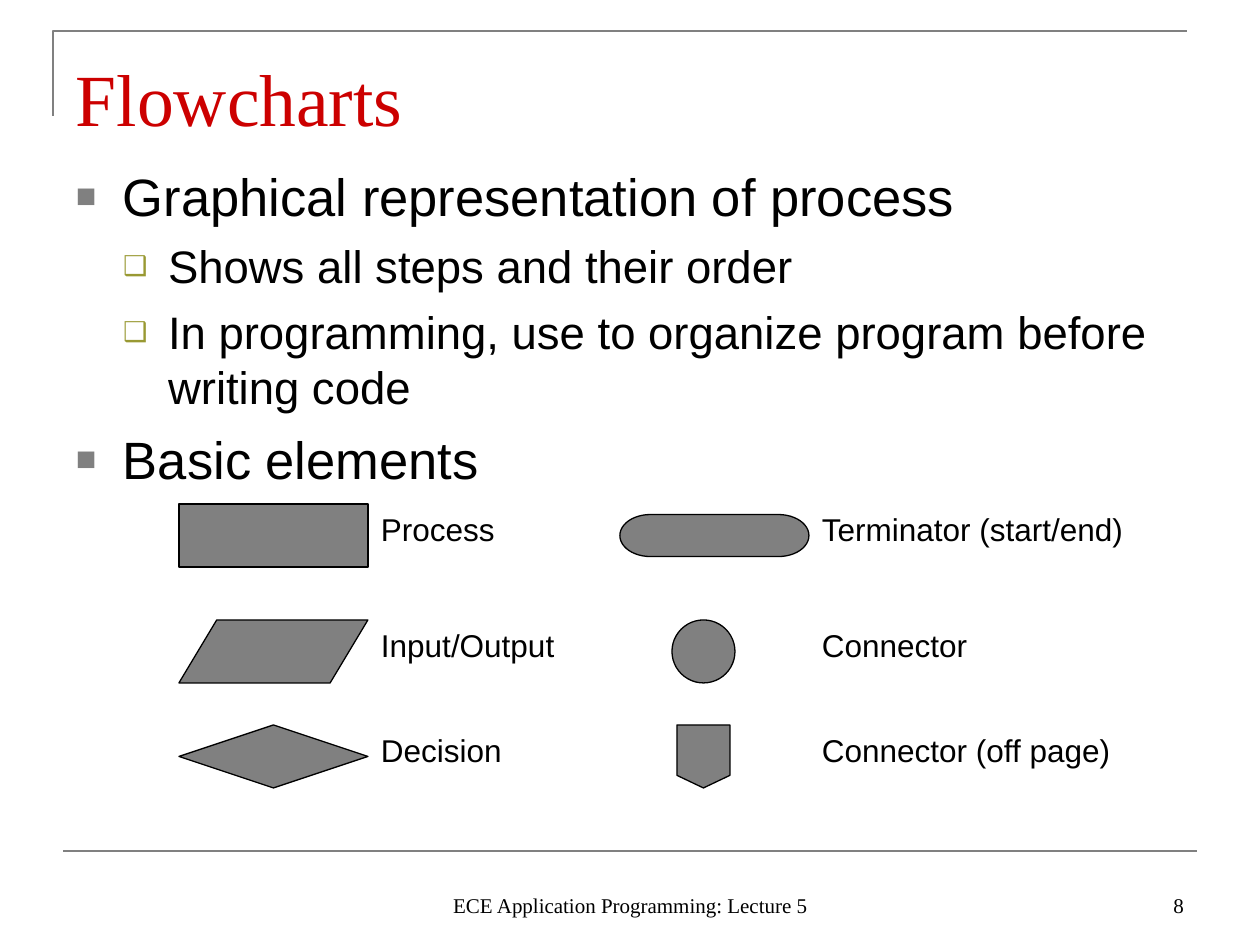
import pptx
import pptx.util
from lxml import etree
from pptx.dml.color import RGBColor
from pptx.enum.shapes import MSO_CONNECTOR, MSO_SHAPE
from pptx.enum.text import MSO_ANCHOR, MSO_AUTO_SIZE, PP_ALIGN
from pptx.oxml.ns import qn

EMU_PER_PX = 914400 / 126
COLORS = {"gray": "808080", "red": "CC0000", "black": "000000", "olive": "999933"}
SERIF, SANS = "Times New Roman", "Arial"

TITLE = "Flowcharts"
BULLETS = [
    (0, "Graphical representation of process"),
    (1, "Shows all steps and their order"),
    (1, "In programming, use to organize program before writing code"),
    (0, "Basic elements"),
]
LEVELS = [
    dict(size=30, before=7.5, margin=47, hanging=47, char="■", color="gray", percent=65),
    dict(size=26, before=6.5, margin=92, hanging=45, char="❑", color="olive", percent=60),
]
# Each column: left edge, then (preset, left offset, width, height, label, label width)
ELEMENTS = [
    (179, [
        (MSO_SHAPE.FLOWCHART_PROCESS, 0, 189, 63, "Process", 199),
        (MSO_SHAPE.FLOWCHART_DATA, 0, 189, 63, "Input/Output", 284),
        (MSO_SHAPE.FLOWCHART_DECISION, 0, 189, 63, "Decision", 284),
    ]),
    (620, [
        (MSO_SHAPE.FLOWCHART_TERMINATOR, 0, 189, 42, "Terminator (start/end)", 357),
        (MSO_SHAPE.FLOWCHART_CONNECTOR, 52, 63, 63, "Connector", 357),
        (MSO_SHAPE.FLOWCHART_OFFPAGE_CONNECTOR, 57, 53, 63, "Connector (off page)", 388),
    ]),
]
ROW_TOPS = [504, 620, 725]
CELL_WIDTH, CELL_HEIGHT = 189, 63
FOOTERS = [
    ("ECE Application Programming: Lecture 5", (431, 861, 399, 63), PP_ALIGN.CENTER),
    ("8", (903, 861, 294, 63), PP_ALIGN.RIGHT),
]


def px(value):
    return pptx.util.Emu(round(value * EMU_PER_PX))


def rgb(name):
    return RGBColor.from_string(COLORS[name])


def place(shape, box):
    for name, value in zip(("left", "top", "width", "height"), box):
        setattr(shape, name, px(value))


def format_frame(frame, anchor=MSO_ANCHOR.TOP, top=6):
    values = dict(word_wrap=True, auto_size=MSO_AUTO_SIZE.NONE, vertical_anchor=anchor,
                  margin_left=px(13), margin_right=px(13),
                  margin_top=px(top), margin_bottom=px(6))
    for name, value in values.items():
        setattr(frame, name, value)


def write(paragraph, text, size, font=SANS, color="black", align=PP_ALIGN.LEFT):
    paragraph.text = text
    paragraph.alignment = align
    for name, value in dict(name=font, size=pptx.util.Pt(size), bold=False).items():
        setattr(paragraph.font, name, value)
    paragraph.font.color.rgb = rgb(color)


def add_label(slide, text, box, size, font=SANS, align=PP_ALIGN.LEFT,
              anchor=MSO_ANCHOR.TOP):
    frame = slide.shapes.add_textbox(*map(px, box)).text_frame
    format_frame(frame, anchor)
    write(frame.paragraphs[0], text, size, font, align=align)


def set_bullet(paragraph, level):
    properties = paragraph._p.get_or_add_pPr()
    properties.set("marL", str(px(level["margin"])))
    properties.set("indent", str(-px(level["hanging"])))
    color = etree.SubElement(properties, qn("a:buClr"))
    etree.SubElement(color, qn("a:srgbClr"), val=COLORS[level["color"]])
    etree.SubElement(properties, qn("a:buSzPct"), val=str(level["percent"] * 1000))
    etree.SubElement(properties, qn("a:buFont"), typeface=SANS)
    etree.SubElement(properties, qn("a:buChar"), char=level["char"])


def style_line(shape, color, width):
    shape.line.color.rgb = rgb(color)
    shape.line.width = pptx.util.Pt(width)


def add_frame_lines(slide):
    builder = slide.shapes.build_freeform(px(53), px(116))
    builder.add_line_segments([(px(53), px(31)), (px(1187), px(31))], close=False)
    corner = builder.convert_to_shape()
    corner.shadow.inherit = False
    corner.fill.background()
    rule = slide.shapes.add_connector(MSO_CONNECTOR.STRAIGHT, px(63), px(851), px(1197), px(851))
    etree.SubElement(rule._element.spPr, qn("a:effectLst"))
    for line in (corner, rule):
        style_line(line, "gray", 1.5)


def fill_title(title):
    place(title, (63, 38, 1134, 98))
    format_frame(title.text_frame, top=15)
    write(title.text_frame.paragraphs[0], TITLE, 42, SERIF, "red")


def fill_body(body):
    place(body, (63, 158, 1134, 687))
    frame = body.text_frame
    format_frame(frame)
    for index, (depth, text) in enumerate(BULLETS):
        paragraph = frame.add_paragraph() if index else frame.paragraphs[0]
        level = LEVELS[depth]
        paragraph.level = depth
        paragraph.space_before = pptx.util.Pt(level["before"] if index else 0)
        set_bullet(paragraph, level)
        write(paragraph, text, level["size"])


def add_elements(slide):
    for left, column in ELEMENTS:
        for top, (preset, offset, width, height, label, label_width) in zip(ROW_TOPS, column):
            box = (left + offset, top + (CELL_HEIGHT - height) / 2, width, height)
            shape = slide.shapes.add_shape(preset, *map(px, box))
            shape.shadow.inherit = False
            shape.fill.solid()
            shape.fill.fore_color.rgb = rgb("gray")
            style_line(shape, "black", 0.75)
            add_label(slide, label, (left + CELL_WIDTH, top, label_width, 50), 18)


def main():
    presentation = pptx.Presentation()
    presentation.slide_width, presentation.slide_height = px(1260), px(945)
    slide = presentation.slides.add_slide(presentation.slide_layouts[1])
    add_frame_lines(slide)
    fill_title(slide.shapes.title)
    fill_body(slide.placeholders[1])
    for text, box, align in FOOTERS:
        add_label(slide, text, box, 12, SERIF, align, MSO_ANCHOR.BOTTOM)
    add_elements(slide)
    presentation.save("out.pptx")


if __name__ == "__main__":
    main()
